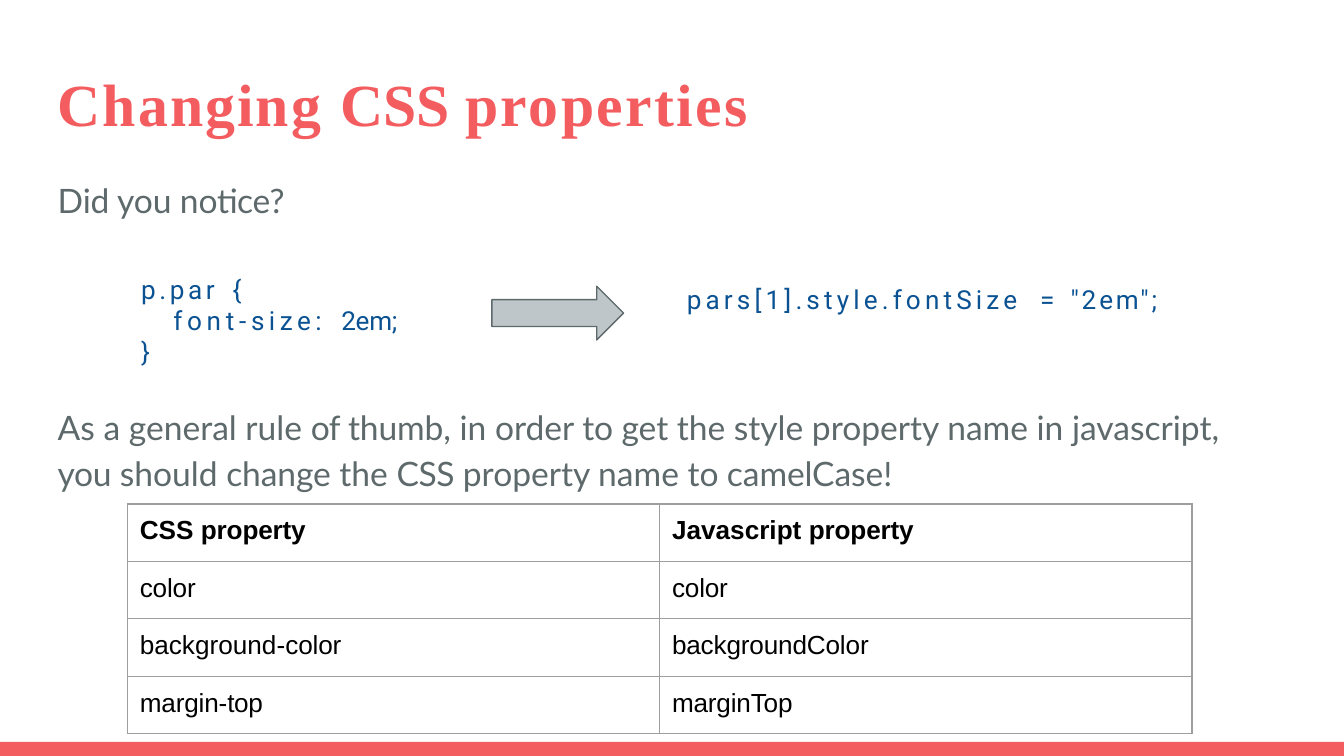
from lxml import etree
from pptx import Presentation
from pptx.dml.color import RGBColor
from pptx.enum.shapes import MSO_SHAPE
from pptx.enum.text import MSO_ANCHOR, MSO_AUTO_SIZE, PP_ALIGN
from pptx.oxml.ns import qn
from pptx.util import Inches, Pt

RECT, ARROW = MSO_SHAPE.RECTANGLE, MSO_SHAPE.RIGHT_ARROW
TOP, LEFT = MSO_ANCHOR.TOP, PP_ALIGN.LEFT
GROW = MSO_AUTO_SIZE.SHAPE_TO_FIT_TEXT

CORAL = RGBColor(0xF4, 0x5D, 0x60)
SLATE = RGBColor(0x5D, 0x69, 0x6B)
BLUE = RGBColor(0x0B, 0x52, 0x93)
SILVER = RGBColor(0xBF, 0xC6, 0xCA)
BLACK = RGBColor(0, 0, 0)
BORDER = "9E9E9E"

# Text styles: font, size, colour, bold
HEAD = ("Times New Roman", 32, CORAL, True)
BODY = ("Lato", 18, SLATE, False)
CODE = ("Roboto", 14, BLUE, False)
CELL = ("Arial", 14, BLACK, False)
CELL_HEAD = ("Arial", 14, BLACK, True)

# Runs are pairs of text and letter spacing in points
TITLE = [("Changing ", 1.1), ("CSS ", 0), ("properties", 1.3)]
ASK = [("Did you notice?", -0.05)]
RULE = [
    ("As a general rule ", 0), ("of ", -0.3), ("thumb, ", -0.05),
    ("in order ", 0), ("to get ", -0.05),
    ("the style property name in javascript, ", 0), ("you ", -0.2),
    ("should ", 0), ("change ", -0.05), ("the ", 0), ("CSS ", -0.2),
    ("property name ", 0), ("to camelCase!", -0.05),
]
CSS = [
    [("p.par", 1.9), (" ", 4.1), ("{", 3)],
    [("font-", 2.5), ("size:", 2.4), (" ", 4.5), ("2em;", -0.2)],
    [("}", 3.1)],
]
SCRIPT = [("pars[1].style.fontSize", 2.2), (" ", 6.3), ("=", 0),
          (" ", 5.1), ('"2em";', 1.5)]
ROWS = [
    ([("CSS ", 0), ("property", -0.1)],
     [("Javascript ", 0), ("property", -0.1)]),
    ([("color", -0.1)], [("color", -0.1)]),
    ([("background-", 0), ("color", -0.1)], [("backgroundColor", -0.1)]),
    ([("margin-", -0.1), ("top", -0.2)], [("marginTop", -0.1)]),
]


def fill_para(para, runs, style, before=1, indent=0.01, line=None):
    """Format one paragraph and add its runs."""
    para.alignment = LEFT
    para.space_before = Pt(before)
    if line:
        para.line_spacing = line
    props = para._p.get_or_add_pPr()
    props.set("marL", str(Inches(indent)))
    props.set("indent", "0")
    name, size, color, bold = style
    for text, gap in runs:
        run = para.add_run()
        run.text = text
        font = run.font
        font.name, font.size, font.bold = name, Pt(size), bold
        font.color.rgb = color
        run._r.get_or_add_rPr().set("spc", str(round(gap * 100)))


def set_frame(frame):
    frame.word_wrap = True
    frame.auto_size = GROW
    frame.vertical_anchor = TOP
    frame.margin_left = frame.margin_right = frame.margin_bottom = 0
    frame.margin_top = Inches(0.01)


def add_text(slide, box):
    frame = slide.shapes.add_textbox(*map(Inches, box)).text_frame
    set_frame(frame)
    return frame


def add_line(slide, box, runs, style, line=None):
    """Add a text box with a single paragraph."""
    frame = add_text(slide, box)
    fill_para(frame.paragraphs[0], runs, style, line=line)


def add_code(slide, box, lines):
    """Add a code block whose inner lines are indented."""
    frame = add_text(slide, box)
    for i, runs in enumerate(lines):
        para = frame.paragraphs[0] if i == 0 else frame.add_paragraph()
        inner = 0 < i < len(lines) - 1
        fill_para(para, runs, CODE, before=0 if i else 1,
                  indent=0.25 if inner else 0.01, line=Pt(16.6))


def add_shape(slide, kind, box, fill, edge=None):
    shape = slide.shapes.add_shape(kind, *map(Inches, box))
    shape.shadow.inherit = False
    shape.fill.solid()
    shape.fill.fore_color.rgb = fill
    if edge:
        shape.line.color.rgb = edge
        shape.line.width = Pt(0.75)
    else:
        shape.line.fill.background()


def set_border(cell):
    props = cell._tc.get_or_add_tcPr()
    for side in ("lnL", "lnR", "lnT", "lnB"):
        edge = etree.SubElement(props, qn("a:" + side), w=str(Pt(0.75)))
        solid = etree.SubElement(edge, qn("a:solidFill"))
        etree.SubElement(solid, qn("a:srgbClr"), val=BORDER)


def add_grid(slide, box, rows):
    shape = slide.shapes.add_table(len(rows), len(rows[0]), *map(Inches, box))
    table = shape.table
    table.first_row = table.horz_banding = False
    for r, row in enumerate(rows):
        for c, runs in enumerate(row):
            cell = table.cell(r, c)
            cell.margin_left = cell.margin_right = cell.margin_bottom = 0
            cell.margin_top = Inches(0.09)
            set_border(cell)
            cell.fill.background()
            fill_para(cell.text_frame.paragraphs[0], runs,
                      CELL if r else CELL_HEAD, before=6.2, indent=0.09)


def add_title(slide, box, runs):
    title = slide.shapes.title
    title.left, title.top, title.width, title.height = map(Inches, box)
    set_frame(title.text_frame)
    fill_para(title.text_frame.paragraphs[0], runs, HEAD)


def main():
    # Widescreen, 16 to 9
    deck = Presentation()
    deck.slide_width = Inches(10)
    deck.slide_height = deck.slide_width * 9 // 16
    slide = deck.slides.add_slide(deck.slide_layouts[5])

    # Footer bar and heading
    add_shape(slide, RECT, (0, 5.52, 10, 0.11), CORAL)
    add_title(slide, (0.42, 0.49, 7.33, 0.56), TITLE)

    # Explanation
    add_line(slide, (0.42, 1.33, 1.8, 0.33), ASK, BODY)
    add_line(slide, (0.42, 2.97, 9.04, 0.72), RULE, BODY, line=1.15)

    # From CSS to script
    add_code(slide, (1.04, 2.03, 2.01, 0.72), CSS)
    add_line(slide, (5.1, 2.1, 3.65, 0.26), SCRIPT, CODE)
    add_shape(slide, ARROW, (3.66, 2.13, 0.98, 0.4), SILVER, SLATE)

    # Property names side by side
    add_grid(slide, (0.95, 3.75, 7.92, 1.71), ROWS)
    deck.save("out.pptx")


if __name__ == "__main__":
    main()
